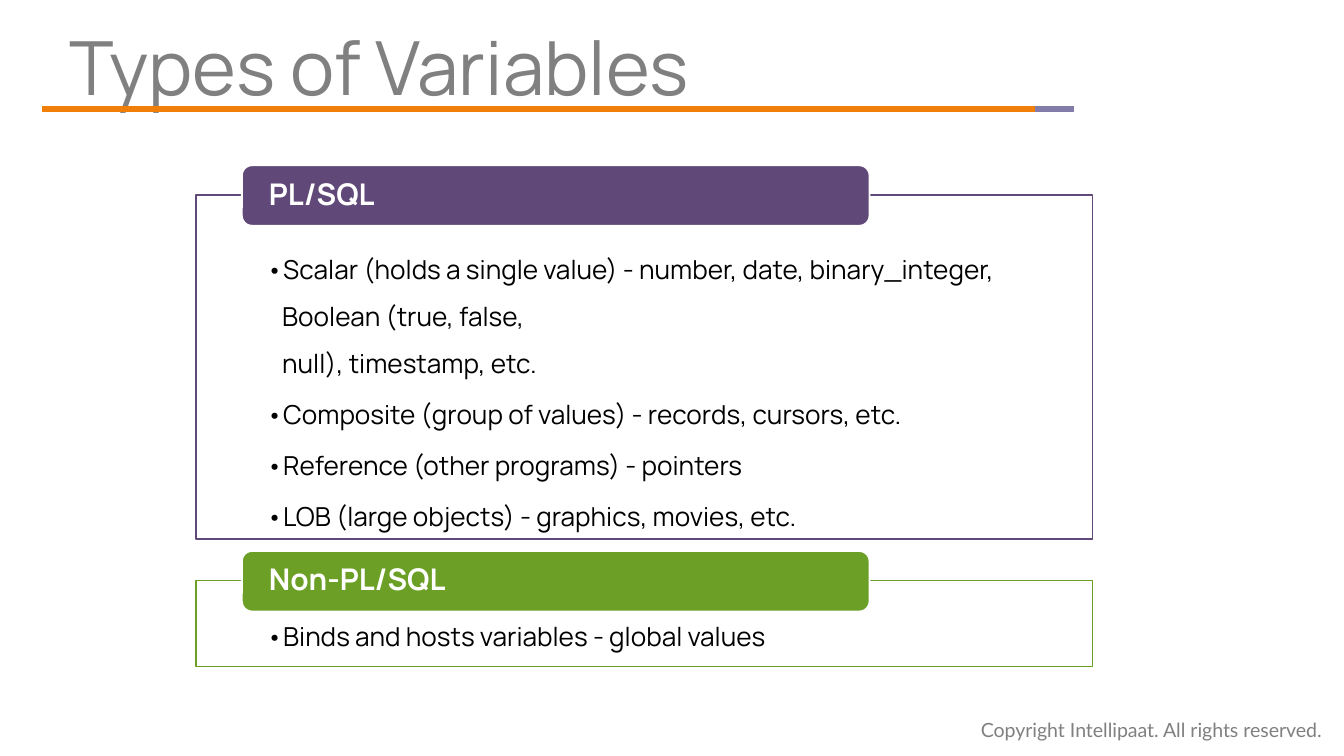
from lxml.etree import SubElement
from pptx import Presentation
from pptx.dml.color import RGBColor
from pptx.enum.shapes import MSO_CONNECTOR as CONNECTOR, MSO_SHAPE as SHAPE
from pptx.enum.text import MSO_ANCHOR as ANCHOR, PP_ALIGN as ALIGN
from pptx.oxml.ns import qn
from pptx.util import Inches, Pt

GREY = "808080"
PURPLE = "604878"
GREEN = "6B9F25"
ORANGE = "F07F09"
LILAC = "827CA8"
WHITE = "FFFFFF"
BLACK = "000000"


def color(value):
    return RGBColor.from_string(value)


class SlideBuilder:
    font_name = "Manrope"
    panel_left = 1.46
    panel_width = 6.67

    def __init__(self, slide):
        self.slide = slide

    def style(self, paragraph, size, hue, bold=False, font_name=None):
        for run in paragraph.runs:
            run.font.name = font_name or self.font_name
            run.font.size = Pt(size)
            run.font.bold = bold
            run.font.color.rgb = color(hue)

    def margins(self, frame, left, top, right, bottom):
        frame.margin_left, frame.margin_top = Inches(left), Inches(top)
        frame.margin_right, frame.margin_bottom = Inches(right), Inches(bottom)

    def text(self, content, box, size, hue, left_margin=0.1, spacing=1.0,
             wrap=True, font_name=None):
        shape = self.slide.shapes.add_textbox(*map(Inches, box))
        frame = shape.text_frame
        frame.word_wrap = wrap
        self.margins(frame, left_margin, 0.05, 0.1, 0.05)
        frame.text = content
        paragraph = frame.paragraphs[0]
        paragraph.line_spacing = spacing
        self.style(paragraph, size, hue, font_name=font_name)

    def rule(self, start, end, y, hue):
        line = self.slide.shapes.add_connector(
            CONNECTOR.STRAIGHT, Inches(start), Inches(y), Inches(end), Inches(y))
        line.line.color.rgb = color(hue)
        line.line.width = Pt(3)
        SubElement(line._element.spPr, qn("a:effectLst"))

    def box(self, kind, box, fill, outline):
        shape = self.slide.shapes.add_shape(kind, *map(Inches, box))
        shape.shadow.inherit = False
        shape.fill.solid()
        shape.fill.fore_color.rgb = color(fill)
        shape.line.color.rgb = color(outline)
        shape.line.width = Pt(1)
        shape.text_frame.word_wrap = True
        return shape

    def bullet(self, paragraph, spacing):
        properties = paragraph._p.get_or_add_pPr()
        properties.set("marL", str(Inches(0.12)))
        properties.set("indent", str(-Inches(0.12)))
        SubElement(properties, qn("a:buFont")).set("typeface", self.font_name)
        SubElement(properties, qn("a:buChar")).set("char", "•")
        paragraph.alignment = ALIGN.LEFT
        paragraph.line_spacing = spacing
        paragraph.space_after = Pt(2.1)
        self.style(paragraph, 14, BLACK)

    def panel(self, heading, items, top, height, hue, spacing):
        body = self.box(SHAPE.RECTANGLE,
                        (self.panel_left, top, self.panel_width, height),
                        WHITE, hue)
        frame = body.text_frame
        frame.vertical_anchor = ANCHOR.TOP
        self.margins(frame, 0.52, 0.32, 0.52, 0.11)
        frame.text = "\n".join(items)
        for paragraph in frame.paragraphs:
            self.bullet(paragraph, spacing)

        tab = self.box(SHAPE.ROUNDED_RECTANGLE,
                       (self.panel_left + 0.34, top - 0.22, 4.67, 0.45),
                       hue, WHITE)
        frame = tab.text_frame
        frame.vertical_anchor = ANCHOR.MIDDLE
        self.margins(frame, 0.18, 0, 0.18, 0)
        frame.text = heading
        paragraph = frame.paragraphs[0]
        paragraph.alignment = ALIGN.LEFT
        paragraph.line_spacing = 0.9
        self.style(paragraph, 16, WHITE, bold=True)


def main():
    presentation = Presentation()
    presentation.slide_width = Inches(10)
    presentation.slide_height = presentation.slide_width * 9 // 16
    builder = SlideBuilder(
        presentation.slides.add_slide(presentation.slide_layouts[6]))

    builder.text("Copyright Intellipaat. All rights reserved.",
                 (7.2, 5.29, 2.83, 0.28), 10.5, GREY, wrap=False,
                 font_name="Lato")
    builder.text("Types of Variables", (0.52, 0.18, 7.61, 0.63), 40, GREY,
                 left_margin=0, spacing=0.9)
    builder.rule(0.31, 7.7, 0.81, ORANGE)
    builder.rule(7.7, 7.99, 0.81, LILAC)

    builder.panel("PL/SQL", [
        "Scalar (holds a single value) - number, date, binary_integer,\v"
        "Boolean (true, false,\vnull), timestamp, etc.",
        "Composite (group of values) - records, cursors, etc.",
        "Reference (other programs) - pointers",
        "LOB (large objects) - graphics, movies, etc.",
    ], 1.45, 2.56, PURPLE, 1.5)
    builder.panel("Non-PL/SQL", ["Binds and hosts variables - global values"],
                  4.32, 0.64, GREEN, 0.9)

    presentation.save("out.pptx")


if __name__ == "__main__":
    main()
